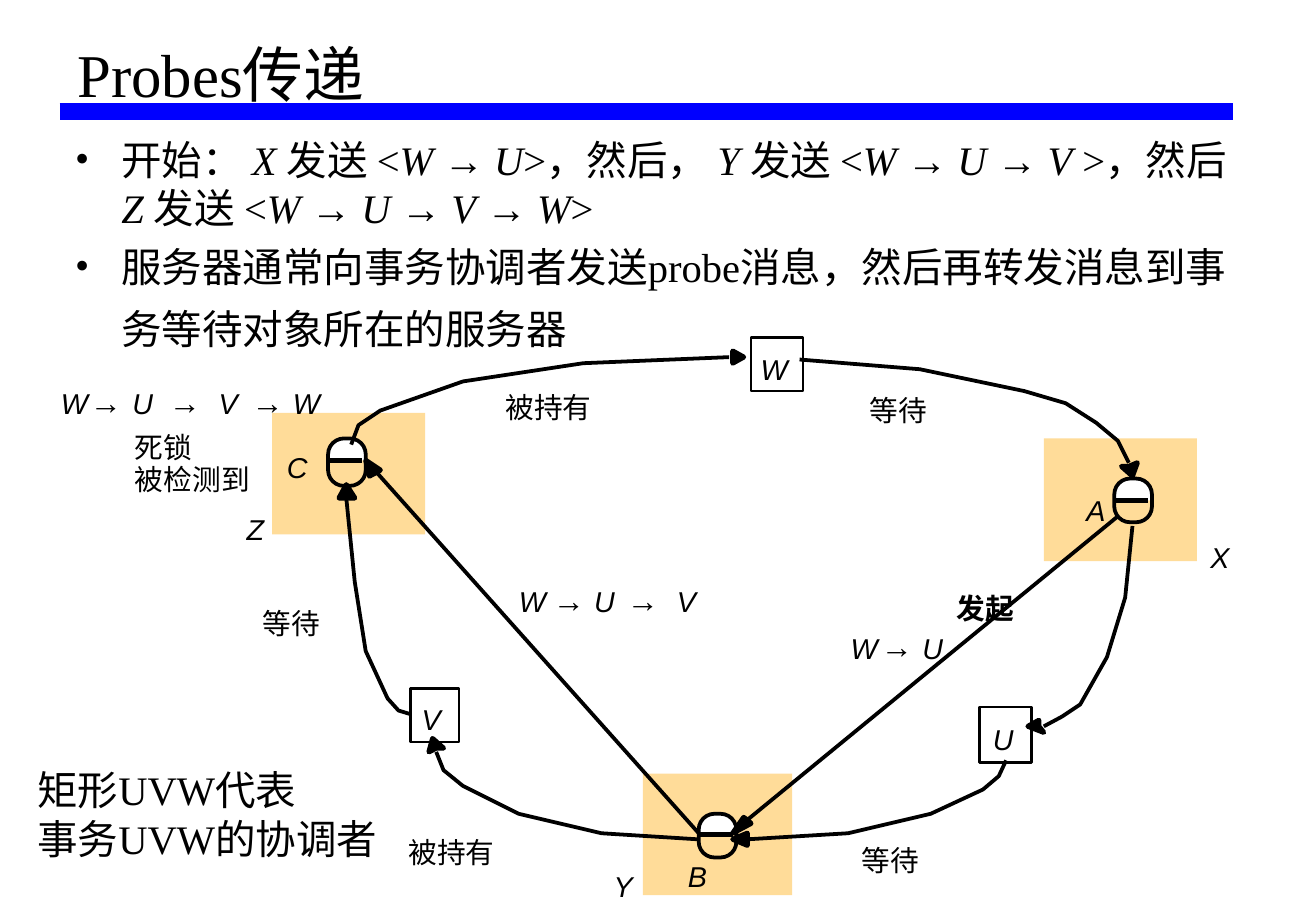
from dataclasses import dataclass
from itertools import groupby

from lxml.etree import SubElement
from pptx import Presentation
from pptx.dml.color import RGBColor
from pptx.enum.shapes import MSO_CONNECTOR, MSO_SHAPE
from pptx.enum.text import MSO_ANCHOR
from pptx.oxml.ns import qn
from pptx.util import Cm, Pt


@dataclass(frozen=True)
class Theme:
    """Colours, fonts and type sizes of the slide."""
    ink: str = "000000"
    paper: str = "FFFFFF"
    rule: str = "0000FF"
    site: str = "FFDC99"
    serif: str = "Times New Roman"
    sans: str = "Arial"
    title: int = 36
    body: int = 24
    body_tail: int = 32
    label: int = 17
    symbol: int = 19


THEME = Theme()
BULLET_INDENT = 0.38
ICON_WIDTH = 0.31

# Places below are in inches: left, top, width, height.
SITES = [(8.59, 3.61, 1.26, 1.01), (5.29, 6.37, 1.23, 1), (2.24, 3.4, 1.26, 1)]
# left, top, height, drop of the divider
OBJECTS = [(2.7, 3.61, 0.39, 0.18), (9.17, 3.94, 0.36, 0.18), (5.75, 6.7, 0.36, 0.17)]
TRANSACTIONS = [(3.38, 5.67, 0.4, 0.44), (6.18, 2.78, 0.43, 0.44), (8.06, 5.82, 0.43, 0.46)]

# Each arrow: its course, then the outline of its head.
ARROWS = [
    ([(5.75, 6.86), (3.1, 3.89)],
     [(3.1, 3.89), (3.04, 3.92), (3.01, 3.79), (3.13, 3.87)]),
    ([(9.2, 4.25), (6.15, 6.75)],
     [(6.15, 6.75), (6.18, 6.78), (6.03, 6.86), (6.12, 6.73)]),
    ([(8.28, 6.26), (8.22, 6.39), (8.09, 6.5), (7.66, 6.7), (6.98, 6.86), (6.15, 6.91)],
     [(6.15, 6.91), (6.15, 6.96), (6.03, 6.91), (6.15, 6.86)]),
    ([(5.75, 6.91), (4.95, 6.86), (4.27, 6.7), (3.81, 6.47), (3.65, 6.34), (3.59, 6.19)],
     [(3.59, 6.16), (3.53, 6.19), (3.56, 6.08), (3.65, 6.16)]),
    ([(3.38, 5.88), (3.28, 5.85), (3.19, 5.75), (3.01, 5.36), (2.92, 4.79), (2.85, 4.1)],
     [(2.85, 4.1), (2.79, 4.1), (2.85, 3.99), (2.92, 4.1)]),
    ([(2.89, 3.66), (2.95, 3.5), (3.13, 3.38), (3.81, 3.14), (4.8, 2.99), (6, 2.94)],
     [(6.03, 2.94), (6.03, 2.89), (6.12, 2.94), (6.03, 2.99)]),
    ([(6.58, 2.96), (7.57, 3.04), (8.43, 3.22), (8.77, 3.32), (9.02, 3.48), (9.2, 3.63),
      (9.29, 3.81)],
     [(9.29, 3.84), (9.36, 3.81), (9.32, 3.92), (9.23, 3.84)]),
    ([(9.32, 4.33), (9.26, 4.92), (9.11, 5.41), (8.89, 5.8), (8.74, 5.9), (8.59, 5.98)],
     [(8.55, 5.98), (8.59, 6.03), (8.46, 5.98), (8.55, 5.93)]),
]

NAMES = [("V", 3.47, 5.78), ("W", 6.26, 2.9), ("U", 8.17, 5.94),
         ("C", 2.36, 3.7), ("A", 8.94, 4.06), ("B", 5.66, 7.07),
         ("Z", 2.03, 4.21), ("Y", 5.05, 7.15), ("X", 9.96, 4.44)]
STATES = [("被持有", 4.16, 3.21), ("被持有", 3.36, 6.87), ("等待", 7.09, 6.94),
          ("等待", 2.16, 4.99), ("等待", 7.16, 3.23),
          ("死锁", 1.11, 3.54), ("被检测到", 1.11, 3.8)]
# Each probe: top, then its signs with their left edges.
PROBES = [
    (3.18, [("W", 0.5), ("→", 0.74), ("U", 1.09), ("→", 1.39), ("V", 1.8), ("→", 2.07),
            ("W", 2.41)]),
    (5.19, [("W", 7), ("→", 7.25), ("U", 7.59)]),
    (4.81, [("W", 4.27), ("→", 4.55), ("U", 4.89), ("→", 5.16), ("V", 5.57)]),
]
START = "开始： X 发送 <W → U>，然后， Y 发送 <W → U → V >，然后 Z 发送 <W → U → V → W>"
FORWARDING = "服务器通常向事务协调者发送probe消息，然后再转发消息到事务等待对象所在的服务器"


def lengths(*inches):
    """Turn inches into slide lengths."""
    return [Cm(2.54 * value) for value in inches]


def colour(code):
    """Return the colour for an RRGGBB code."""
    return RGBColor.from_string(code)


def paint(shape, fill=None, line=None, weight=1.0):
    """Set the fill and outline of a shape and drop its shadow."""
    shape.shadow.inherit = False
    if fill:
        shape.fill.solid()
        shape.fill.fore_color.rgb = colour(fill)
    else:
        shape.fill.background()
    if line:
        shape.line.color.rgb = colour(line)
        shape.line.width = Pt(weight)
    else:
        shape.line.fill.background()


def preset(slide, kind, box, **look):
    """Add a preset shape in a box."""
    shape = slide.shapes.add_shape(kind, *lengths(*box))
    paint(shape, **look)
    return shape


def straight(slide, start, end, weight, line=THEME.ink):
    """Add a straight line."""
    stroke = slide.shapes.add_connector(MSO_CONNECTOR.STRAIGHT, *lengths(*start, *end))
    stroke.line.color.rgb = colour(line)
    stroke.line.width = Pt(weight)
    SubElement(stroke._element.spPr, qn("a:effectLst"))


def outline(slide, points, close, **look):
    """Add a freeform through the points."""
    first, *others = [lengths(*point) for point in points]
    builder = slide.shapes.build_freeform(*first)
    builder.add_line_segments(others, close=close)
    paint(builder.convert_to_shape(), **look)


def arrow(slide, course, head):
    """Add an arrow: a straight or bent course and a kite-shaped head."""
    outline(slide, head, True, fill=THEME.ink, line=THEME.ink, weight=3)
    if len(course) == 2:
        straight(slide, *course, weight=2.25)
    else:
        outline(slide, course, False, line=THEME.ink, weight=2.25)


def bullet(paragraph):
    """Give a paragraph a hanging bullet."""
    properties = paragraph._p.get_or_add_pPr()
    indent, = lengths(BULLET_INDENT)
    properties.set("marL", str(indent))
    properties.set("indent", str(-indent))
    SubElement(properties, qn("a:buFont"), typeface=THEME.serif)
    SubElement(properties, qn("a:buChar"), char="•")


def write(slide, box, paragraphs, size, font=THEME.serif, italic=False, bold=False,
          wrap=True, inset=True, anchor=MSO_ANCHOR.TOP, spacing=None, bullets=False):
    """Add text; each paragraph is a list of (text, changes of format) runs."""
    frame = slide.shapes.add_textbox(*lengths(*box)).text_frame
    frame.word_wrap = wrap
    frame.vertical_anchor = anchor
    if not inset:
        frame.margin_left = frame.margin_right = frame.margin_top = frame.margin_bottom = 0
    for index, runs in enumerate(paragraphs):
        paragraph = frame.add_paragraph() if index else frame.paragraphs[0]
        if spacing:
            paragraph.line_spacing = spacing
        if bullets:
            paragraph.space_before = Pt(6)
            bullet(paragraph)
        for words, changes in runs:
            run = paragraph.add_run()
            run.text = words
            run.font.size = Pt(changes.get("size", size))
            run.font.name = changes.get("font", font)
            run.font.italic = changes.get("italic", italic)
            run.font.bold = bold
            run.font.color.rgb = colour(THEME.ink)


def label(slide, words, left, top, size=THEME.label, **look):
    """Add a short diagram label."""
    write(slide, (left, top, 0.25 * len(words), 0.29), [[(words, {})]], size,
          font=THEME.sans, wrap=False, inset=False, **look)


def notation(sentence):
    """Split a sentence into runs: italic names, sans arrows, plain rest."""
    def changes(sign):
        if sign == "→":
            return {"font": THEME.sans}
        return {"italic": sign in "UVWXYZ"}
    return [("".join(signs), look) for look, signs in groupby(sentence, changes)]


def data_object(slide, left, top, height, drop):
    """Add the icon of an object: a capsule with a white upper part."""
    capsule = (left, top, ICON_WIDTH, height)
    base = (left, top + drop, ICON_WIDTH, height - drop)
    preset(slide, MSO_SHAPE.ROUNDED_RECTANGLE, capsule, fill=THEME.paper).adjustments[0] = 0.42
    preset(slide, MSO_SHAPE.RECTANGLE, base, fill=THEME.site)
    rim = preset(slide, MSO_SHAPE.ROUNDED_RECTANGLE, capsule, line=THEME.ink, weight=2.25)
    rim.adjustments[0] = 0.42
    straight(slide, (left, top + drop), (left + 0.28, top + drop), 3)


def main():
    """Build the slide and save it."""
    deck = Presentation()
    deck.slide_width, deck.slide_height = lengths(10.83, 7.5)
    slide = deck.slides.add_slide(deck.slide_layouts[6])

    straight(slide, (0.49, 0.92), (10.15, 0.92), 10, THEME.rule)
    write(slide, (0.54, 0, 9.69, 0.96), [[("Probes传递", {})]], THEME.title,
          anchor=MSO_ANCHOR.BOTTOM, spacing=0.9)
    forwarding = [(FORWARDING, {}), (" ", {"size": THEME.body_tail})]
    write(slide, (0.52, 1.06, 9.69, 5.38), [notation(START), forwarding], THEME.body,
          bullets=True)

    for site in SITES:
        preset(slide, MSO_SHAPE.RECTANGLE, site, fill=THEME.site)
    for place in OBJECTS:
        data_object(slide, *place)
    for box in TRANSACTIONS:
        preset(slide, MSO_SHAPE.RECTANGLE, box, fill=THEME.paper, line=THEME.ink, weight=1.5)
    for course, head in ARROWS:
        arrow(slide, course, head)

    for name in NAMES:
        label(slide, *name, italic=True)
    for state in STATES:
        label(slide, *state)
    label(slide, "发起", 7.87, 4.86, bold=True)
    for top, signs in PROBES:
        for sign, left in signs:
            if sign == "→":
                label(slide, sign, left, top - 0.03, size=THEME.symbol)
            else:
                label(slide, sign, left, top, italic=True)

    write(slide, (0.21, 6.25, 3.03, 0.91),
          [[("矩形UVW代表", {})], [("事务UVW的协调者", {})]], THEME.body)
    deck.save("out.pptx")


main()
